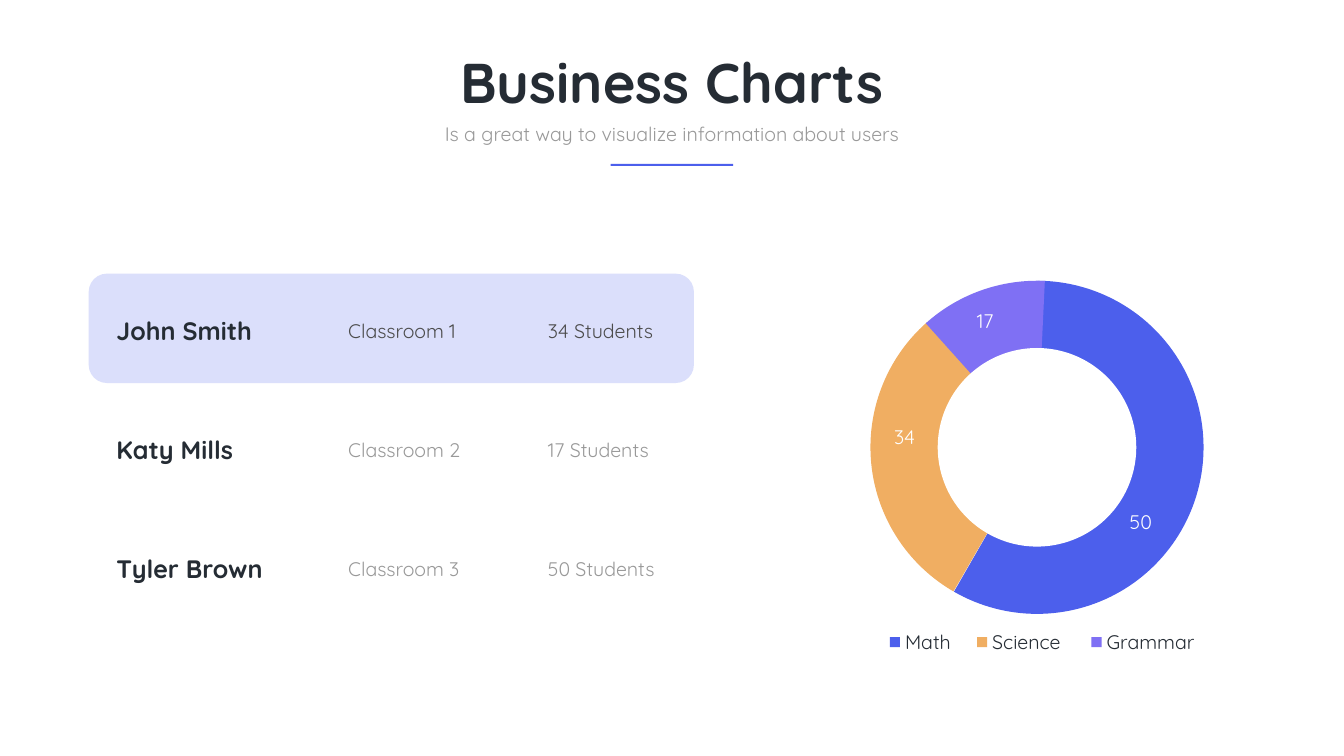
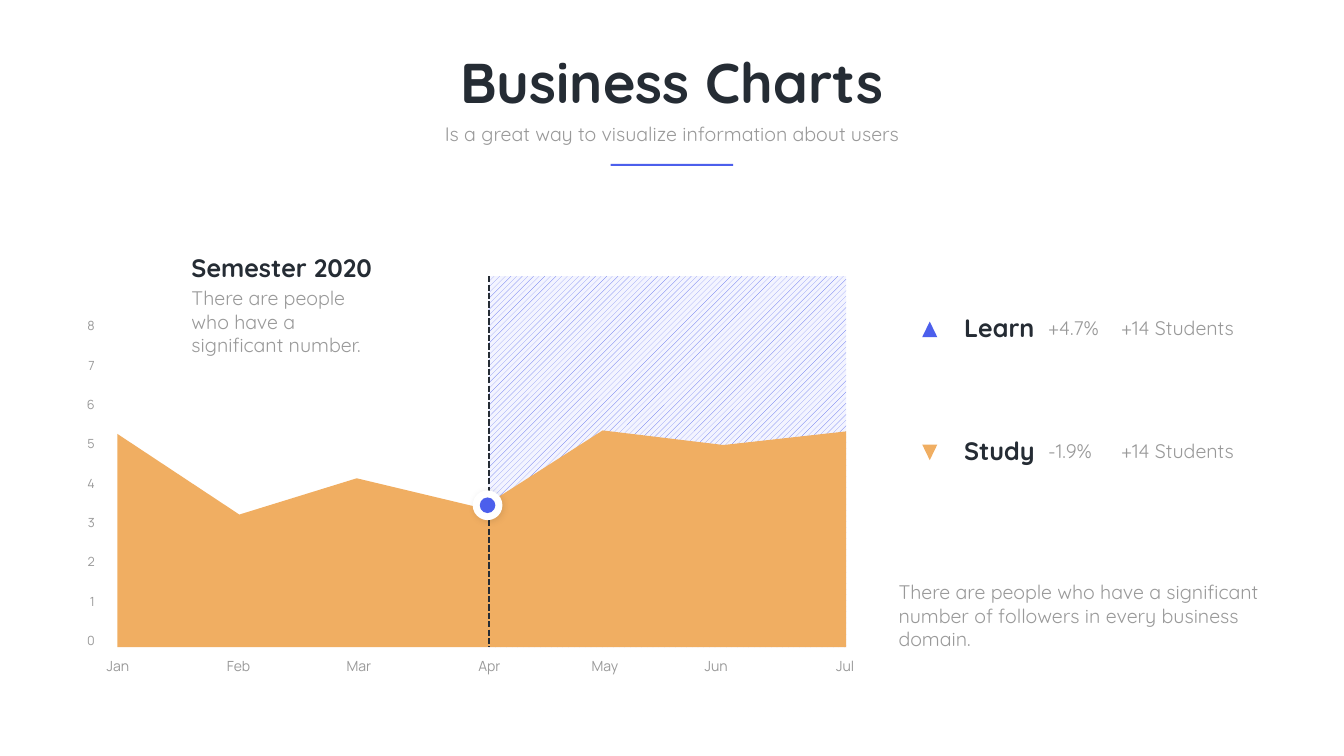
from collections import namedtuple

from lxml import etree
from pptx import Presentation
from pptx.dml.color import RGBColor
from pptx.enum.dml import MSO_LINE, MSO_PATTERN
from pptx.enum.shapes import MSO_CONNECTOR, MSO_SHAPE
from pptx.enum.text import MSO_AUTO_SIZE, PP_ALIGN
from pptx.oxml.ns import qn
from pptx.util import Inches, Pt

# The slide is a grid of 80 columns by 45 rows; every length counts cells.
COLUMNS = 80
CELL = Inches(15) // 45

INK, GREY, DARK_GREY, WHITE = "252C34", "999999", "4C4C4C", "FFFFFF"
BLUE, ORANGE, PURPLE = "4C5FEC", "F0AE62", "7F70F4"
HIGHLIGHT, FORECAST = "DBDFFB", "F3F4FF"

LEFT, CENTER, RIGHT = PP_ALIGN.LEFT, PP_ALIGN.CENTER, PP_ALIGN.RIGHT
RECTANGLE, ROUNDED = MSO_SHAPE.RECTANGLE, MSO_SHAPE.ROUNDED_RECTANGLE
OVAL, TRIANGLE = MSO_SHAPE.OVAL, MSO_SHAPE.ISOSCELES_TRIANGLE
PIE = MSO_SHAPE.PIE
STRAIGHT, DASH = MSO_CONNECTOR.STRAIGHT, MSO_LINE.SQUARE_DOT
DOTTED = MSO_PATTERN.PERCENT_10
GROW = MSO_AUTO_SIZE.SHAPE_TO_FIT_TEXT

Style = namedtuple("Style", "size color bold font align spacing",
                   defaults=(False, "Quicksand", LEFT, None))
TITLE = Style(80, INK, True, align=CENTER)
SUBTITLE = Style(28, GREY, align=CENTER)
NAME = Style(36, INK, True)
BODY = Style(28, GREY)
BODY_ACTIVE = Style(28, DARK_GREY)
LEGEND = Style(28, INK)
SLICE_VALUE = Style(28, WHITE, align=CENTER)
MONTH = Style(20, GREY, font="Manrope", align=CENTER, spacing=35.6)
SCALE = Style(18, GREY, font="Manrope", align=RIGHT, spacing=35.6)
BODY_HEIGHT, NAME_HEIGHT, NOTE_HEIGHT = 1.71, 2.13, 4.53


class Box(namedtuple("Box", "left top width height")):
    def inner(self, left, top, width, height):
        """A box measured from this box's corner."""
        return Box(self.left + left, self.top + top, width, height)

    def centered(self, top, width, height):
        return self.inner((self.width - width) / 2, top, width, height)

    def emu(self):
        return [cells(value) for value in self]


def cells(count):
    return round(count * CELL)


def rgb(color):
    return RGBColor.from_string(color)


def add_figure(slide, kind, box, color):
    shape = slide.shapes.add_shape(kind, *box.emu())
    return paint(shape, color)


def paint(shape, color):
    shape.shadow.inherit = False
    shape.fill.solid()
    shape.fill.fore_color.rgb = rgb(color)
    shape.line.fill.background()
    return shape


def add_text(slide, box, text, style):
    frame = slide.shapes.add_textbox(*box.emu()).text_frame
    frame.word_wrap = True
    frame.auto_size = GROW
    frame.margin_left = frame.margin_right = Inches(0.09)
    frame.margin_top = frame.margin_bottom = Inches(0.04)
    frame.text = text
    paragraph = frame.paragraphs[0]
    paragraph.alignment = style.align
    if style.spacing:
        paragraph.line_spacing = Pt(style.spacing)
    font = paragraph.runs[0].font
    font.name, font.size, font.bold = style.font, Pt(style.size), style.bold
    font.color.rgb = rgb(style.color)


def set_opacity(shape, percent):
    color = shape._element.spPr.find(".//" + qn("a:srgbClr"))
    etree.SubElement(color, qn("a:alpha"), val=str(percent * 1000))


def add_soft_shadow(shape):
    effects = shape._element.spPr.find(qn("a:effectLst"))
    shadow = etree.SubElement(effects, qn("a:outerShdw"), blurRad=str(Pt(10)),
                              dist=str(Pt(3)), dir=str(45 * 60000))
    color = etree.SubElement(shadow, qn("a:srgbClr"), val="000000")
    etree.SubElement(color, qn("a:alpha"), val="10000")


def heading(slide, box):
    add_text(slide, box.inner(0, 0, box.width, 4.35), "Business Charts", TITLE)
    add_text(slide, box.centered(4.44, 28.68, BODY_HEIGHT),
             "Is a great way to visualize information about users", SUBTITLE)
    add_figure(slide, RECTANGLE, box.centered(7.05, 7.29, 0.12), BLUE)


def teacher_list(slide, box):
    teachers = [("John Smith", "Classroom 1", "34 Students"),
                ("Katy Mills", "Classroom 2", "17 Students"),
                ("Tyler Brown", "Classroom 3", "50 Students")]
    row_pitch = 7.08
    add_figure(slide, ROUNDED, box.inner(0, 0, box.width, 6.51), HIGHLIGHT)
    for index, (name, classroom, students) in enumerate(teachers):
        top = 2.58 + index * row_pitch
        style = BODY if index else BODY_ACTIVE
        add_text(slide, box.inner(1.38, top - 0.21, 10.62, NAME_HEIGHT), name, NAME)
        add_text(slide, box.inner(15.18, top, 8.97, BODY_HEIGHT), classroom, style)
        add_text(slide, box.inner(27.06, top, 8.97, BODY_HEIGHT), students, style)


def subject_ring(slide, box):
    # Start and end in degrees clockwise from three o'clock, then the label.
    slices = [(BLUE, 270.6, 119.9, "50", 14.12, 13.53),
              (ORANGE, 120.1, 228.5, "34", 0.05, 8.46),
              (PURPLE, 228.1, 272.7, "17", 4.85, 1.53)]
    for color, start, end, *_ in slices:
        shape = add_figure(slide, PIE, box, color)
        for index, degrees in enumerate((start, end)):
            shape.adjustments[index] = degrees * 0.6
    hole = 11.82
    add_figure(slide, OVAL, box.centered((box.height - hole) / 2, hole, hole), WHITE)
    for *_, value, left, top in slices:
        add_text(slide, box.inner(left, top, 3.96, BODY_HEIGHT), value, SLICE_VALUE)


def subject_legend(slide, box):
    subjects = [("Math", BLUE, 0, 4.8), ("Science", ORANGE, 5.19, 5.7),
                ("Grammar", PURPLE, 12, 6.51)]
    for subject, color, left, width in subjects:
        add_figure(slide, RECTANGLE, box.inner(left, 0.54, 0.6, 0.6), color)
        add_text(slide, box.inner(left + 0.63, 0, width, box.height), subject, LEGEND)


def semester_chart(slide, box):
    # Month, corner of the area (left, top), centre of the month's label.
    months = [("Jan", 0, 9.39, 0.04), ("Feb", 7.26, 14.19, 7.22),
              ("Mar", 14.25, 12.03, 14.38), ("Apr", 21.66, 13.8, 22.15),
              ("May", 28.89, 9.18, 29.03), ("Jun", 36.09, 10.05, 35.65),
              ("Jul", 43.38, 9.24, 43.33)]
    today = 22.1

    forecast = add_figure(slide, RECTANGLE,
                          box.inner(today, 0, box.width - today, box.height), FORECAST)
    forecast.fill.patterned()
    forecast.fill.pattern = DOTTED
    forecast.fill.fore_color.rgb = rgb(BLUE)
    forecast.fill.back_color.rgb = rgb(FORECAST)

    corners = [(left, top) for _, left, top, _ in months]
    corners += [(box.width, box.height), (0, box.height)]
    outline = [(cells(box.left + left), cells(box.top + top)) for left, top in corners]
    builder = slide.shapes.build_freeform(*outline[0])
    builder.add_line_segments(outline[1:], close=True)
    paint(builder.convert_to_shape(), ORANGE)

    x = cells(box.left + today)
    divider = slide.shapes.add_connector(
        STRAIGHT, x, cells(box.top), x, cells(box.top + box.height))
    divider.line.color.rgb = rgb(INK)
    divider.line.width = Pt(3)
    divider.line.dash_style = DASH
    etree.SubElement(divider._element.spPr, qn("a:effectLst"))

    marker = box.inner(21.15, 12.75, 1.77, 1.77)
    add_soft_shadow(add_figure(slide, OVAL, marker, WHITE))
    add_figure(slide, OVAL, marker.centered(0.42, 0.93, 0.93), BLUE)

    for month, *_, center in months:
        add_text(slide, box.inner(center - 1.82, box.height, 3.63, 1.68), month, MONTH)
    for value in range(9):
        add_text(slide, box.inner(-2.85, 20.52 - value * 2.34, 1.77, 1.89),
                 str(value), SCALE)


def semester_note(slide, box):
    add_text(slide, box.inner(0, 2.01, box.width, NOTE_HEIGHT),
             "There are people who have a significant number.", BODY)
    add_text(slide, box.inner(0, 0, box.width, NAME_HEIGHT), "Semester 2020", NAME)


def trend_card(slide, box, name, change, color, rotation):
    card = add_figure(slide, ROUNDED, box, WHITE)
    set_opacity(card, 70)
    arrow = add_figure(slide, TRIANGLE, box.inner(1.68, 2.52, 0.9, 0.93), color)
    arrow.rotation = rotation
    add_text(slide, box.inner(3.9, 1.86, 4.89, NAME_HEIGHT), name, NAME)
    add_text(slide, box.inner(8.91, 2.07, 3.9, BODY_HEIGHT), change, BODY)
    add_text(slide, box.inner(13.26, 2.07, 7.92, BODY_HEIGHT), "+14 Students", BODY)


def ring_slide(slide):
    teacher_list(slide, Box(5.28, 16.29, 36.03, 22.2))
    subject_ring(slide, Box(51.82, 16.71, 19.83, 19.83))
    subject_legend(slide, Box(52.98, 37.38, 19.14, BODY_HEIGHT))


def area_slide(slide):
    semester_chart(slide, Box(6.99, 16.44, 43.38, 22.08))
    semester_note(slide, Box(11.13, 14.91, 11.64, 6.54))
    trends = [("Learn", "+4.7%", BLUE, 0), ("Study", "-1.9%", ORANGE, 180)]
    for index, trend in enumerate(trends):
        trend_card(slide, Box(53.22, 16.62 + index * 7.32, 21.93, 5.97), *trend)
    add_text(slide, Box(53.22, 34.41, 22.47, NOTE_HEIGHT),
             "There are people who have a significant number of followers "
             "in every business domain.", BODY)


def main():
    presentation = Presentation()
    presentation.slide_width = Inches(26.67)
    presentation.slide_height = Inches(15)
    heading_width = 38.73
    for fill_slide in (ring_slide, area_slide):
        slide = presentation.slides.add_slide(presentation.slide_layouts[6])
        heading(slide, Box((COLUMNS - heading_width) / 2, 2.7, heading_width, 7.17))
        fill_slide(slide)
    presentation.save("out.pptx")


if __name__ == "__main__":
    main()
